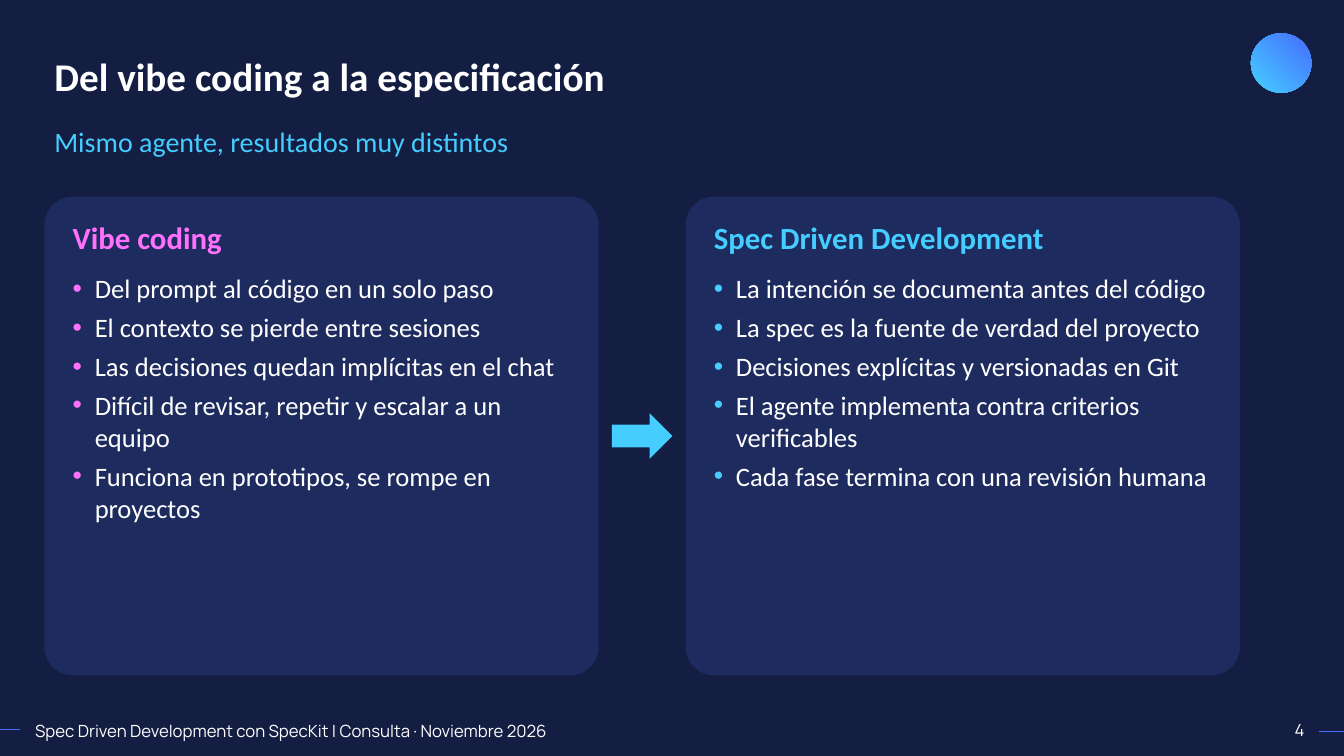
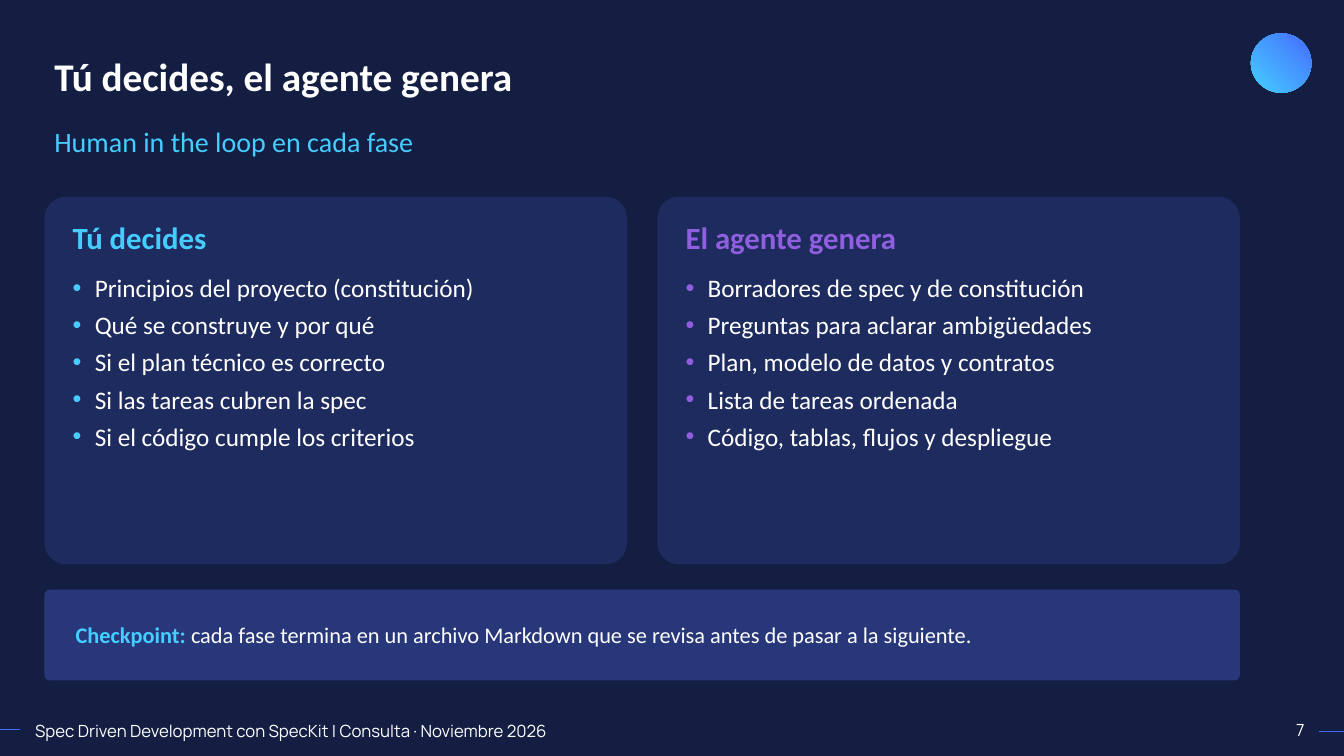
from lxml.etree import SubElement
from pptx import Presentation
from pptx.dml.color import RGBColor
from pptx.enum.shapes import MSO_CONNECTOR as Connector, MSO_SHAPE as Preset
from pptx.enum.text import MSO_ANCHOR as Anchor, MSO_AUTO_SIZE as AutoSize, PP_ALIGN as Align
from pptx.oxml.ns import qn
from pptx.util import Pt

NAVY, CARD, BAR = "131E42", "1E2B5E", "27377A"
WHITE, CYAN, BLUE, PINK, PURPLE = "FFFFFF", "45CDFF", "456BFF", "FF71FC", "905FDF"
PAGE_WIDTH, PAGE_HEIGHT = 960, 540
LEFT, WIDTH = 31.7, 854
CARD_TOP, CARD_PAD = 140.4, 20.2
FOOTER = "Spec Driven Development con SpecKit | Consulta · Noviembre 2026"

TITLE = dict(size=28, bold=True, color=WHITE)
SUBTITLE = dict(size=20, color=CYAN)
SMALL = dict(size=12, name="Manrope", color=WHITE)


def rgb(value):
    return RGBColor.from_string(value)


class Deck:
    """Holds the shared style and the slide being built."""

    def __init__(self):
        self.file = Presentation()
        self.file.slide_width, self.file.slide_height = Pt(PAGE_WIDTH), Pt(PAGE_HEIGHT)
        background = self.file.slide_master.background.fill
        background.solid()
        background.fore_color.rgb = rgb(NAVY)
        self.page = None

    def new_page(self, title, subtitle, number):
        self.page = self.file.slides.add_slide(self.file.slide_layouts[5])
        # Footer and corner mark
        self.rule(PAGE_WIDTH - 17.5, 522.7, PAGE_WIDTH)
        self.rule(0, 521.3, 14.4)
        self.text(18, 511.2, 535, 16.6, [(FOOTER, SMALL)])
        self.text(895.7, 510.5, 43.2, 17.3, [(number, SMALL)], align=Align.RIGHT)
        self.corner_mark()
        # Heading
        heading = self.page.shapes.title
        heading.left, heading.top = Pt(LEFT), Pt(23.8)
        heading.width, heading.height = Pt(WIDTH), Pt(60.5)
        self.fill_frame(heading.text_frame, [(title, TITLE)], anchor=Anchor.MIDDLE)
        self.text(LEFT, 85.7, WIDTH, 26.6, [(subtitle, SUBTITLE)])

    def add_spans(self, para, spans):
        for words, style in spans:
            span = para.add_run()
            span.text = words
            values = {"name": "Calibri", "bold": False, **style}
            span.font.color.rgb = rgb(values.pop("color"))
            values["size"] = Pt(values["size"])
            for key, value in values.items():
                setattr(span.font, key, value)

    def fill_frame(self, frame, spans, align=Align.LEFT, **settings):
        values = {"word_wrap": True, "auto_size": AutoSize.NONE,
                  "vertical_anchor": settings.pop("anchor", Anchor.TOP), **settings}
        for key, value in values.items():
            setattr(frame, key, value)
        para = frame.paragraphs[0]
        para.alignment = align
        self.add_spans(para, spans)

    def text(self, left, top, width, height, spans, **settings):
        box = self.page.shapes.add_textbox(Pt(left), Pt(top), Pt(width), Pt(height))
        self.fill_frame(box.text_frame, spans, **settings)
        return box

    def rule(self, start, height, end):
        line = self.page.shapes.add_connector(
            Connector.STRAIGHT, Pt(start), Pt(height), Pt(end), Pt(height))
        line.line.color.rgb = rgb(BLUE)
        line.line.width = Pt(0.5)
        SubElement(line.element.spPr, qn("a:effectLst"))

    def shape(self, preset, left, top, width, height, color):
        shape = self.page.shapes.add_shape(preset, Pt(left), Pt(top), Pt(width), Pt(height))
        shape.shadow.inherit = False
        shape.fill.solid()
        shape.fill.fore_color.rgb = rgb(color)
        shape.line.fill.background()
        return shape

    def panel(self, left, top, width, height, color):
        panel = self.shape(Preset.ROUNDED_RECTANGLE, left, top, width, height, color)
        panel.adjustments[0] = 0.06
        return panel

    def corner_mark(self):
        mark = self.shape(Preset.OVAL, 893.5, 23.8, 43.2, 42.5, BLUE)
        mark.fill.gradient()
        mark.fill.gradient_angle = 45
        for stop, position, color in zip(mark.fill.gradient_stops, (0.03, 1), (CYAN, BLUE)):
            stop.position = position
            stop.color.rgb = rgb(color)

    def bullets(self, left, top, width, height, items, size, accent):
        box = self.text(left, top, width, height, [], margin_left=0, margin_top=0,
                        margin_right=0, margin_bottom=0)
        frame = box.text_frame
        for index, item in enumerate(items):
            para = frame.add_paragraph() if index else frame.paragraphs[0]
            para.space_after = Pt(5)
            properties = para._p.get_or_add_pPr()
            properties.set("marL", str(Pt(15.8)))
            properties.set("indent", str(-Pt(15.8)))
            color = SubElement(properties, qn("a:buClr"))
            SubElement(color, qn("a:srgbClr"), val=accent)
            SubElement(properties, qn("a:buFont"), typeface="Arial")
            SubElement(properties, qn("a:buChar"), char="•")
            self.add_spans(para, [(item, dict(size=size, color=WHITE))])

    def cards(self, height, gap, size, contents):
        width = (WIDTH - gap) / 2
        inner = width - 2 * CARD_PAD
        for index, (heading, accent, items) in enumerate(contents):
            left = LEFT + index * (width + gap)
            self.panel(left, CARD_TOP, width, height, CARD)
            self.text(left + CARD_PAD, CARD_TOP + 15.8, inner, 32.4,
                      [(heading, dict(size=22, bold=True, color=accent))],
                      margin_left=0, margin_top=0, margin_right=0, margin_bottom=0)
            self.bullets(left + CARD_PAD, CARD_TOP + 54, inner, height - 64.8,
                         items, size, accent)

    def arrow(self, card_height):
        width, height = 43.2, 32.4
        self.shape(Preset.RIGHT_ARROW, LEFT + (WIDTH - width) / 2,
                   CARD_TOP + (card_height - height) / 2, width, height, CYAN)

    def callout(self, label, message):
        bar = self.panel(LEFT, 421.2, WIDTH, 64.8, BAR)
        self.fill_frame(bar.text_frame,
                        [(label, dict(size=16, bold=True, color=CYAN)),
                         (message, dict(size=16, color=WHITE))],
                        anchor=Anchor.MIDDLE, margin_left=Pt(21.2))


def main():
    deck = Deck()

    # From vibe coding to specification
    deck.new_page("Del vibe coding a la especificación",
                  "Mismo agente, resultados muy distintos", "4")
    deck.cards(342, 62, 19, [
        ("Vibe coding", PINK, [
            "Del prompt al código en un solo paso",
            "El contexto se pierde entre sesiones",
            "Las decisiones quedan implícitas en el chat",
            "Difícil de revisar, repetir y escalar a un equipo",
            "Funciona en prototipos, se rompe en proyectos"]),
        ("Spec Driven Development", CYAN, [
            "La intención se documenta antes del código",
            "La spec es la fuente de verdad del proyecto",
            "Decisiones explícitas y versionadas en Git",
            "El agente implementa contra criterios verificables",
            "Cada fase termina con una revisión humana"]),
    ])
    deck.arrow(342)

    # Who decides and who generates
    deck.new_page("Tú decides, el agente genera", "Human in the loop en cada fase", "7")
    deck.cards(262.8, 21.6, 18, [
        ("Tú decides", CYAN, [
            "Principios del proyecto (constitución)",
            "Qué se construye y por qué",
            "Si el plan técnico es correcto",
            "Si las tareas cubren la spec",
            "Si el código cumple los criterios"]),
        ("El agente genera", PURPLE, [
            "Borradores de spec y de constitución",
            "Preguntas para aclarar ambigüedades",
            "Plan, modelo de datos y contratos",
            "Lista de tareas ordenada",
            "Código, tablas, flujos y despliegue"]),
    ])
    deck.callout("Checkpoint: ", "cada fase termina en un archivo Markdown que se revisa "
                                 "antes de pasar a la siguiente.")

    deck.file.save("out.pptx")


if __name__ == "__main__":
    main()
